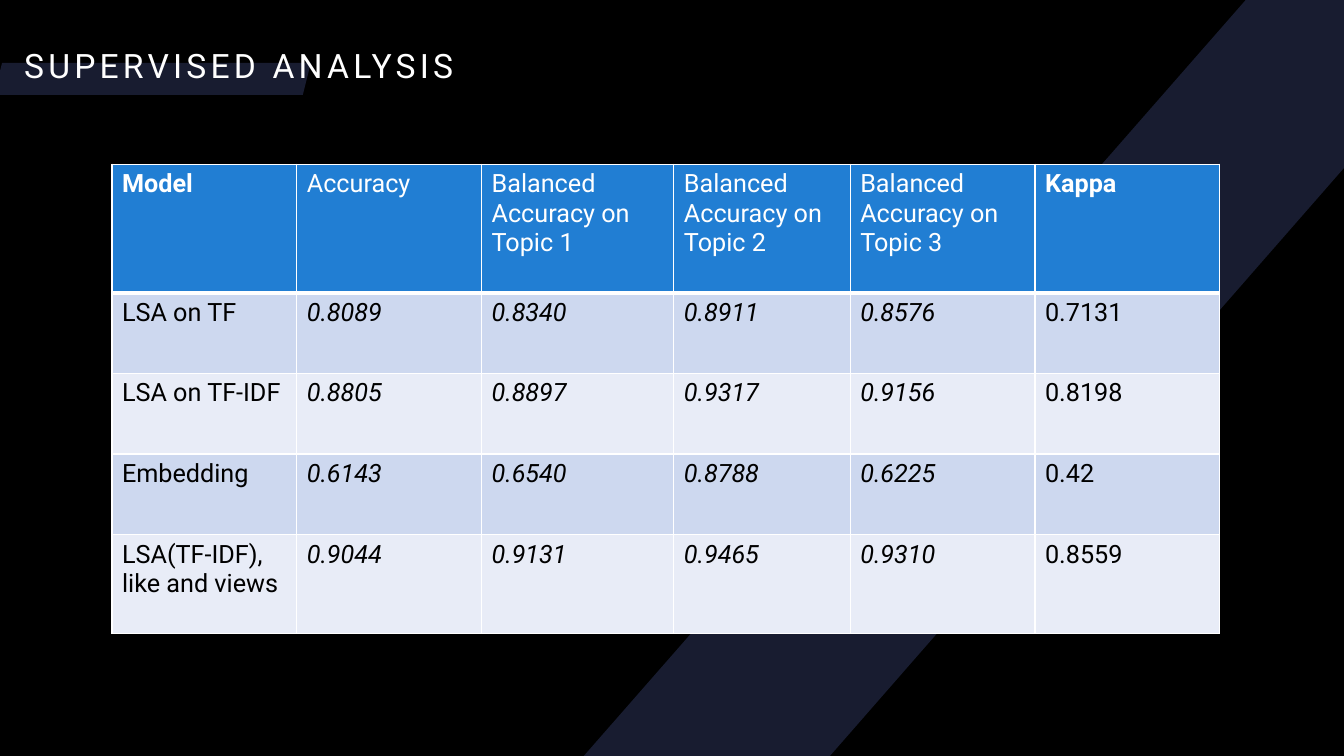
from dataclasses import dataclass

from lxml.etree import SubElement
from pptx import Presentation
from pptx.dml.color import RGBColor
from pptx.enum.shapes import MSO_SHAPE
from pptx.oxml.ns import qn
from pptx.slide import Slide
from pptx.table import _Cell
from pptx.text.text import _Run
from pptx.util import Emu, Inches, Pt

COLORS = {
    "background": "000000",
    "band": "181C30",
    "header": "217ED3",
    "odd row": "CDD8EF",
    "even row": "E8ECF7",
    "light": "FFFFFF",
    "dark": "000000",
}
FONT = "Roboto"
GRID_COLUMNS, GRID_ROWS = 160, 90
SLIDE_WIDTH, SLIDE_HEIGHT = Inches(13.33), Inches(7.5)


@dataclass(frozen=True)
class Area:
    column: float
    row: float
    columns: float
    rows: float

    def lengths(self) -> tuple[Emu, Emu, Emu, Emu]:
        return across(self.column), down(self.row), across(self.columns), down(self.rows)


@dataclass(frozen=True)
class TableRow:
    texts: tuple[str, ...]
    height: float
    fill: str


BAND_OUTLINE = [(148.3, 0), (160, 0), (160, 20), (98.8, 90), (69.5, 90)]
TITLE_BAR = Area(-0.7, 7.5, 37.7, 3.8)
TITLE_BOX = Area(1.7, 4.7, 66, 6.8)
TABLE_LEFT, TABLE_TOP = 13.33, 19.56
COLUMN_WIDTHS = [22, 22, 22.9, 21, 22, 22]
TABLE_ROWS = [
    TableRow(("Model", "Accuracy", *(f"Balanced Accuracy on Topic {topic}" for topic in (1, 2, 3)), "Kappa"),
             15.3, "header"),
    TableRow(("LSA on TF", "0.8089", "0.8340", "0.8911", "0.8576", "0.7131"), 9.6, "odd row"),
    TableRow(("LSA on TF-IDF", "0.8805", "0.8897", "0.9317", "0.9156", "0.8198"), 9.6, "even row"),
    TableRow(("Embedding", "0.6143", "0.6540", "0.8788", "0.6225", "0.42"), 9.6, "odd row"),
    TableRow(("LSA(TF-IDF), like and views", "0.9044", "0.9131", "0.9465", "0.9310", "0.8559"),
             11.8, "even row"),
]


def across(columns: float) -> Emu:
    return Emu(round(SLIDE_WIDTH * columns / GRID_COLUMNS))


def down(rows: float) -> Emu:
    return Emu(round(SLIDE_HEIGHT * rows / GRID_ROWS))


def color(name: str) -> RGBColor:
    return RGBColor.from_string(COLORS[name])


def style_run(span: _Run, size: float, color_name: str) -> None:
    span.font.name = FONT
    span.font.size = Pt(size)
    span.font.color.rgb = color(color_name)


def draw_bands(page: Slide) -> None:
    points = [(across(column), down(row)) for column, row in BAND_OUTLINE]
    builder = page.shapes.build_freeform(*points[0])
    builder.add_line_segments(points[1:])
    diagonal = builder.convert_to_shape()
    title_bar = page.shapes.add_shape(MSO_SHAPE.PARALLELOGRAM, *TITLE_BAR.lengths())
    for band in (diagonal, title_bar):
        band.shadow.inherit = False
        band.fill.solid()
        band.fill.fore_color.rgb = color("band")
        band.line.fill.background()


def draw_title(page: Slide) -> None:
    box = page.shapes.add_textbox(*TITLE_BOX.lengths())
    box.text_frame.word_wrap = True
    box.text_frame.text = "SUPERVISED ANALYSIS"
    span = box.text_frame.paragraphs[0].runs[0]
    style_run(span, 24, "light")
    span._r.get_or_add_rPr().set("spc", "300")


def add_borders(cell: _Cell, top: float, bottom: float) -> None:
    properties = cell._tc.get_or_add_tcPr()
    sides = {"a:lnL": 1, "a:lnR": 1, "a:lnT": top, "a:lnB": bottom}
    for position, (tag, width) in enumerate(sides.items()):
        border = SubElement(properties, qn(tag), w=str(Pt(width)))
        fill = SubElement(border, qn("a:solidFill"))
        SubElement(fill, qn("a:srgbClr"), val=COLORS["light"])
        properties.insert(position, border)


def draw_table(page: Slide) -> None:
    area = Area(TABLE_LEFT, TABLE_TOP, sum(COLUMN_WIDTHS), sum(row.height for row in TABLE_ROWS))
    table = page.shapes.add_table(len(TABLE_ROWS), len(COLUMN_WIDTHS), *area.lengths()).table
    table.first_row = table.horz_banding = False
    for column, width in zip(table.columns, COLUMN_WIDTHS):
        column.width = across(width)
    last_column = len(COLUMN_WIDTHS) - 1
    for row_index, row in enumerate(TABLE_ROWS):
        table.rows[row_index].height = down(row.height)
        is_header = row_index == 0
        for column_index, text in enumerate(row.texts):
            is_outer = column_index in (0, last_column)
            cell = table.cell(row_index, column_index)
            cell.fill.solid()
            cell.fill.fore_color.rgb = color(row.fill)
            add_borders(cell, 3 if row_index == 1 else 1, 3 if is_header else 1)
            cell.text_frame.text = text
            span = cell.text_frame.paragraphs[0].runs[0]
            style_run(span, 18, "light" if is_header else "dark")
            span.font.bold = is_header and is_outer
            span.font.italic = not is_header and not is_outer


def main() -> None:
    deck = Presentation()
    deck.slide_width, deck.slide_height = SLIDE_WIDTH, SLIDE_HEIGHT
    page = deck.slides.add_slide(deck.slide_layouts[6])
    page.background.fill.solid()
    page.background.fill.fore_color.rgb = color("background")
    draw_bands(page)
    draw_title(page)
    draw_table(page)
    deck.save("out.pptx")


if __name__ == "__main__":
    main()
